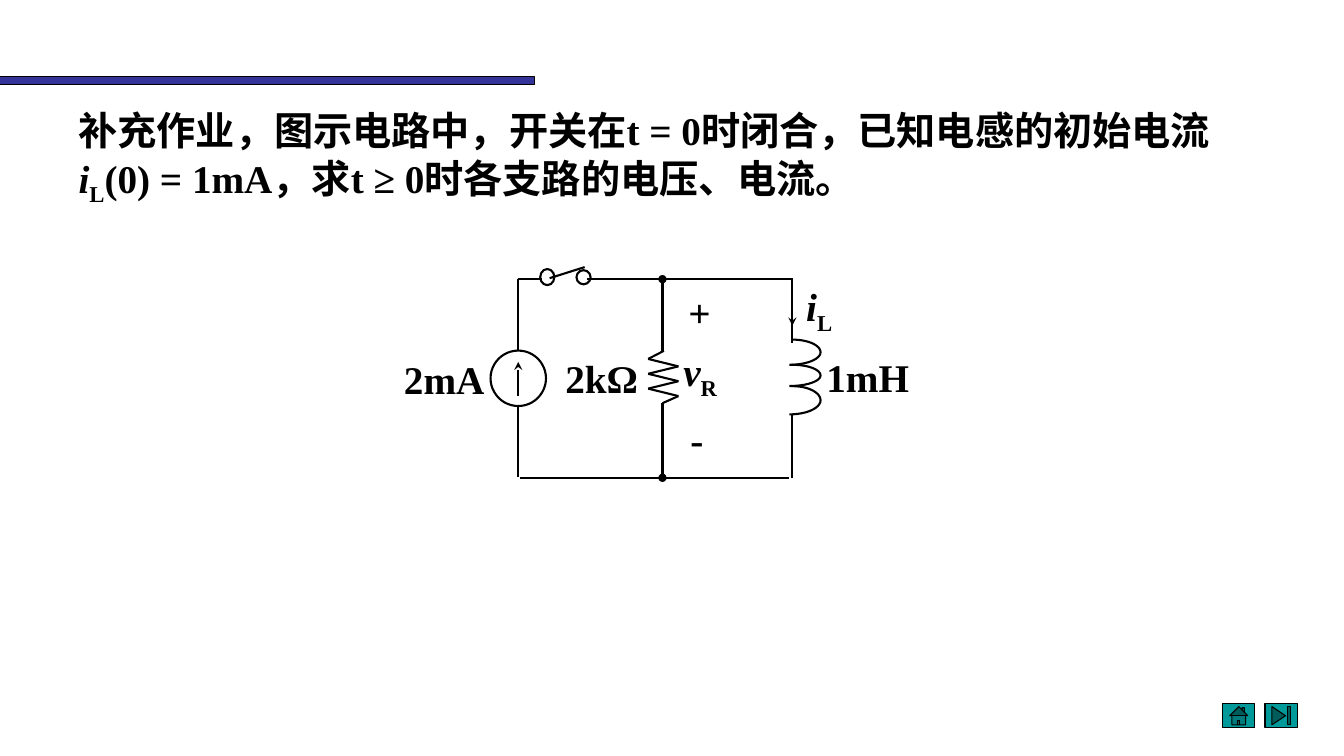
from itertools import pairwise
from math import cos, pi, sin

from lxml.etree import SubElement
from pptx import Presentation
from pptx.dml.color import RGBColor
from pptx.enum.shapes import MSO_CONNECTOR, MSO_SHAPE
from pptx.oxml.ns import qn
from pptx.util import Pt

BLACK = RGBColor(0x00, 0x00, 0x00)
NAVY = RGBColor(0x33, 0x33, 0x99)
TEAL = RGBColor(0x00, 0x99, 0x99)
FONT, TEXT_SIZE, WIRE_WIDTH = "Times New Roman", 28, 1.5

# Text: box, then runs as (text, style)
PROBLEM = ((49, 72.7, 838.8, 75.6), [
    ("补充作业，图示电路中，开关在t = 0时闭合，已知电感的初始电流", ""),
    ("i", "italic"), ("L", "sub"),
    ("(0) = 1mA，求t ≥ 0时各支路的电压、电流。", "")])
LABELS = [
    ((281.5, 250.6, 75, 41), [("2mA", "")]),
    ((396.7, 249.8, 85, 41), [("2kΩ", "")]),
    ((486, 293, 37.4, 41), [("-", "")]),
    ((484.6, 202.3, 42.5, 41), [("+", "")]),
    ((568.8, 198, 48.2, 41), [("i", "italic"), ("L", "sub")]),
    ((481, 244.8, 56.9, 41), [("v", "italic"), ("R", "sub")]),
    ((583.2, 249.1, 77.8, 39.6), [("1mH", "")]),
]

# Circuit geometry
SOURCE_X, RESISTOR_X, COIL_X = 370.2, 473.2, 566
TOP, BOTTOM = 199.4, 341.3
RESISTOR_TOP, RESISTOR_BOTTOM = 250.6, 288
ZIGZAG_LEFT, ZIGZAG_RIGHT, ZIGZAG_STEP = 463, 484.6, 5.3
COIL_LEVELS = [242.6, 260.6, 275.8, 296]
COIL_END_X, COIL_RIGHT = 563.8, 586.1

# Wires: x1, y1, x2, y2, arrowheads
WIRES = [
    (SOURCE_X, TOP, SOURCE_X, 250, {}),
    (SOURCE_X, 290.2, SOURCE_X, 340.6, {}),
    (SOURCE_X, TOP, 387.4, TOP, {}),
    (419, TOP, 566.6, TOP, {}),
    (371.5, BOTTOM, 563.8, BOTTOM, {}),
    (417.6, 190.8, 392.6, 198.7, {}),
    (RESISTOR_X, TOP, RESISTOR_X, 239, {"headEnd": "oval"}),
    (RESISTOR_X, 301, RESISTOR_X, BOTTOM, {"tailEnd": "oval"}),
    (RESISTOR_X, RESISTOR_TOP, RESISTOR_X, 234, {}),
    (RESISTOR_X, 304.6, RESISTOR_X, RESISTOR_BOTTOM, {}),
    (COIL_X, TOP, COIL_X, 244.8, {}),
    (COIL_X, COIL_LEVELS[-1], COIL_X, BOTTOM, {}),
    (COIL_X, 208.8, COIL_X, 232.6, {"tailEnd": "stealth"}),
    (SOURCE_X, 283, SOURCE_X, 258.5, {"tailEnd": "stealth"}),
]
CIRCLES = [  # current source and the two switch contacts
    (350.4, 250.4, 39.6, 39.6),
    (385.9, 192.2, 10.1, 11.5),
    (411.8, 193, 10.1, 10.1),
]
DECORATIONS = [
    (MSO_SHAPE.RECTANGLE, (0, 54.7, 381.6, 5.8), NAVY),
    (MSO_SHAPE.ACTION_BUTTON_HOME, (873.4, 502.6, 22.9, 17.3), TEAL),
    (MSO_SHAPE.ACTION_BUTTON_END, (903.6, 502.6, 22.9, 17.3), TEAL),
]

deck = Presentation()
deck.slide_width, deck.slide_height = Pt(960), Pt(540)
slide = deck.slides.add_slide(deck.slide_layouts[6])


def add_outline(part, color=None, width=WIRE_WIDTH):
    part.shadow.inherit = False
    if color is None:
        part.fill.background()
    else:
        part.fill.solid()
        part.fill.fore_color.rgb = color
    part.line.color.rgb = BLACK
    part.line.width = Pt(width)


def add_preset(kind, box, color=None, width=WIRE_WIDTH):
    add_outline(slide.shapes.add_shape(kind, *map(Pt, box)), color, width)


def add_text(box, runs):
    frame = slide.shapes.add_textbox(*map(Pt, box)).text_frame
    frame.word_wrap = True
    for text, style in runs:
        run = frame.paragraphs[0].add_run()
        run.text = text
        run.font.name, run.font.size = FONT, Pt(TEXT_SIZE)
        run.font.bold, run.font.italic = True, style == "italic"
        run.font.color.rgb = BLACK
        if style == "sub":
            run.font._element.set("baseline", "-25000")


def add_wire(x1, y1, x2, y2, heads):
    wire = slide.shapes.add_connector(
        MSO_CONNECTOR.STRAIGHT, Pt(x1), Pt(y1), Pt(x2), Pt(y2))
    wire.line.color.rgb = BLACK
    wire.line.width = Pt(WIRE_WIDTH)
    for end, kind in heads.items():
        SubElement(wire.line._ln, qn(f"a:{end}"), type=kind)
    SubElement(wire._element.spPr, qn("a:effectLst"))


# Page decoration and problem statement
for kind, box, color in DECORATIONS:
    add_preset(kind, box, color, 0.75)
add_text(*PROBLEM)

# Wires, source, switch and labels
for wire in WIRES:
    add_wire(*wire)
for box in CIRCLES:
    add_preset(MSO_SHAPE.OVAL, box)
for label in LABELS:
    add_text(*label)

# Resistor zigzag
zigzag = [(RESISTOR_X + 1, RESISTOR_TOP)]
for turn in range(6):
    x = ZIGZAG_RIGHT if turn % 2 else ZIGZAG_LEFT
    zigzag.append((x, 256.4 + turn * ZIGZAG_STEP))
zigzag.append((RESISTOR_X, RESISTOR_BOTTOM))
for start, end in pairwise(zigzag):
    add_wire(*start, *end, {})

# Inductor: each turn is half an ellipse
for upper, lower in pairwise(COIL_LEVELS):
    middle, radius = (upper + lower) / 2, (lower - upper) / 2
    turn = []
    for step in range(25):
        angle = pi * step / 24
        left = COIL_X if angle < pi / 2 else COIL_END_X
        turn.append((Pt(left + (COIL_RIGHT - left) * sin(angle)),
                     Pt(middle - radius * cos(angle))))
    outline = slide.shapes.build_freeform(*turn[0])
    outline.add_line_segments(turn[1:], close=False)
    add_outline(outline.convert_to_shape())

deck.save("out.pptx")
